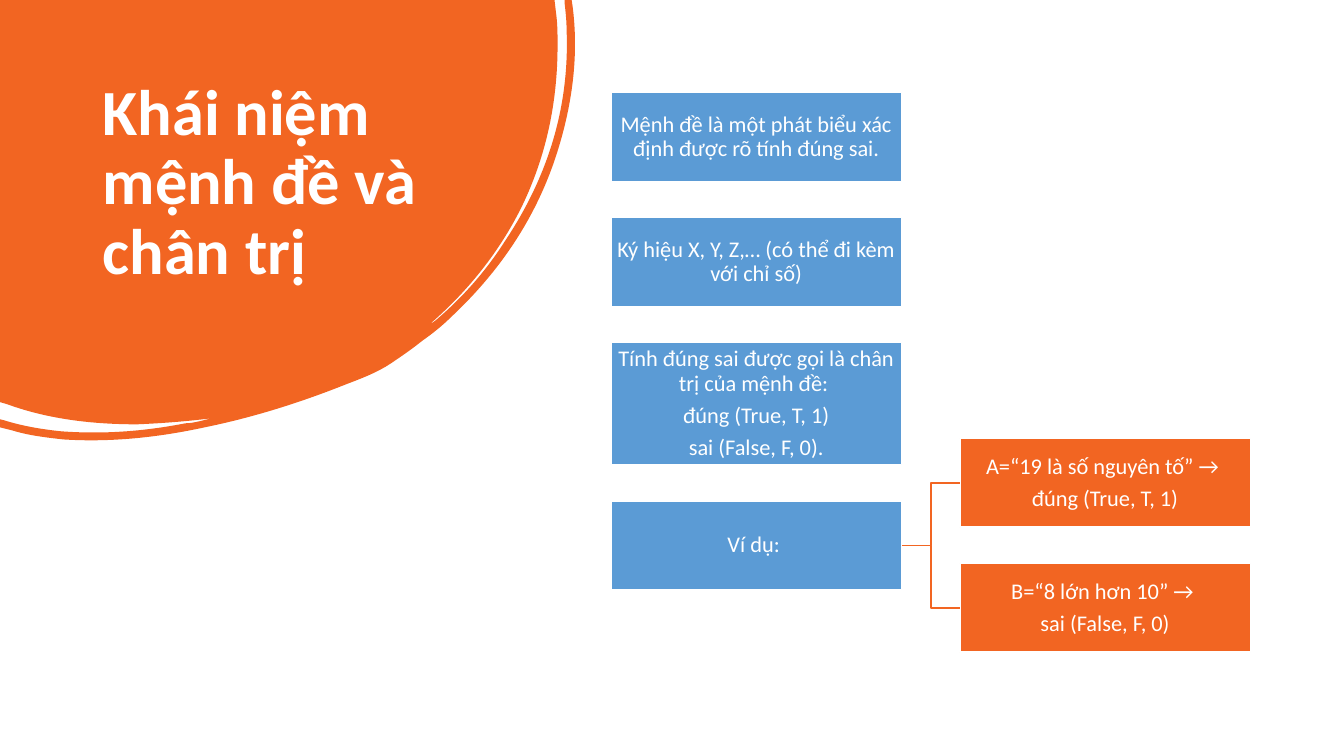
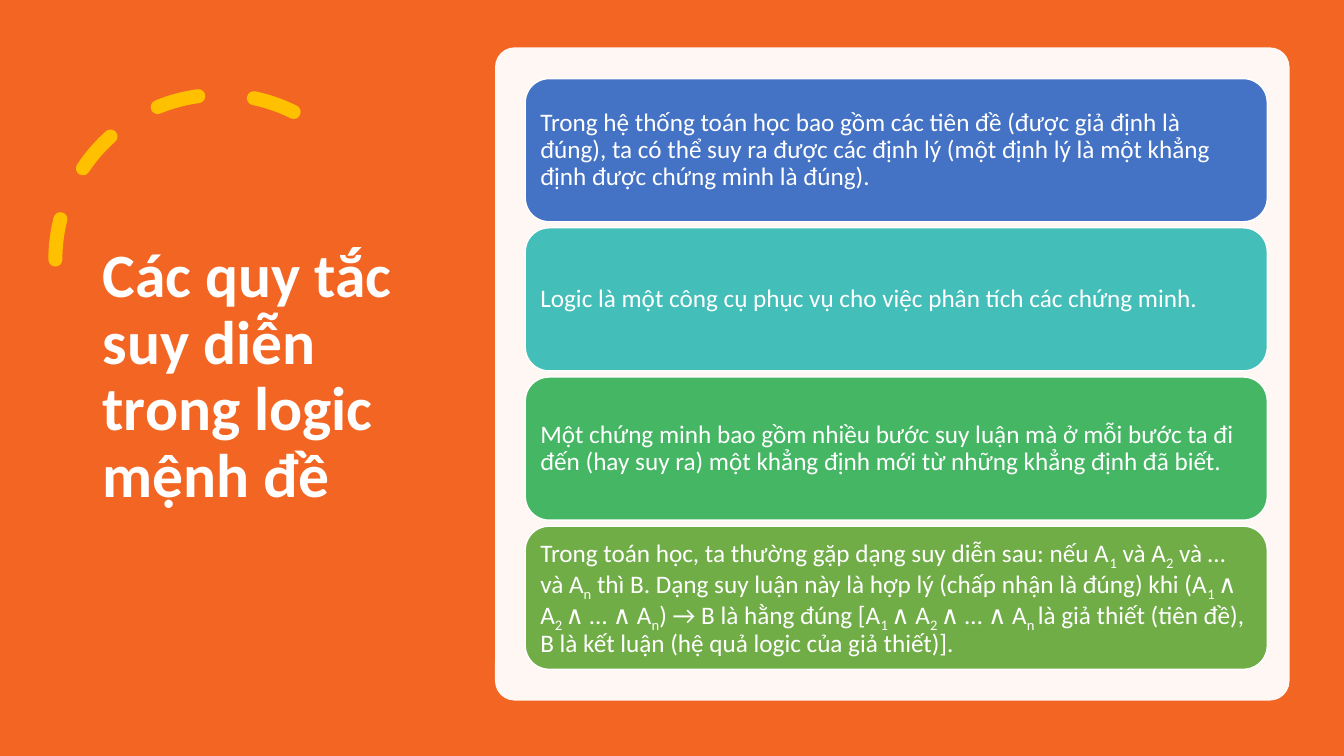
"""Build two slides on propositions, truth values and rules of inference."""
import pptx
import pptx.dml.color
import pptx.enum.dml
import pptx.enum.shapes
import pptx.enum.text
import pptx.oxml.ns
import pptx.util
from lxml import etree

PX = 9144
SIZE = (1333, 750)
KIND = pptx.enum.shapes.MSO_SHAPE
ALIGN = pptx.enum.text.PP_ALIGN
ANCHOR = pptx.enum.text.MSO_ANCHOR
QN = pptx.oxml.ns.qn


class Theme:
    font = "Calibri"
    white = "FFFFFF"
    orange = "F26522"
    blue = "5B9BD5"
    gold = "FFC000"
    cards = ["4472C4", "43BEB9", "45B664", "70AD47"]
    heads = [46, 44]
    box = 16
    card = 18
    thin = 1
    thick = 10


TITLES = ["Khái niệm mệnh đề và chân trị", "Các quy tắc suy diễn trong logic mệnh đề"]

FACTS = [
    (88, ["Mệnh đề là một phát biểu xác định được rõ tính đúng sai."]),
    (88, ["Ký hiệu X, Y, Z,… (có thể đi kèm với chỉ số)"]),
    (121, ["Tính đúng sai được gọi là chân trị của mệnh đề: ",
           "đúng (True, T, 1)", "sai (False, F, 0)."]),
    (88, ["Ví dụ: "]),
]

CASES = [
    (88, ["A=“19 là số nguyên tố” → ", "đúng (True, T, 1)"]),
    (88, ["B=“8 lớn hơn 10” → ", "sai (False, F, 0)"]),
]

RULES = [
    "Trong hệ thống toán học bao gồm các tiên đề (được giả định là đúng), ta có thể "
    "suy ra được các định lý (một định lý là một khẳng định được chứng minh là đúng).",
    "Logic là một công cụ phục vụ cho việc phân tích các chứng minh.",
    "Một chứng minh bao gồm nhiều bước suy luận mà ở mỗi bước ta đi đến (hay suy ra) "
    "một khẳng định mới từ những khẳng định đã biết.",
    "Trong toán học, ta thường gặp dạng suy diễn sau: nếu A~1~ và A~2~ và … và A~n~ "
    "thì B. Dạng suy luận này là hợp lý (chấp nhận là đúng) khi (A~1 ~∧ A~2 ~∧ … ∧ A~n~) "
    "→ B là hằng đúng [A~1 ~∧ A~2 ~∧ … ∧ A~n ~là giả thiết (tiên đề), "
    "B là kết luận (hệ quả logic của giả thiết)].",
]

BLOB = [
    (0, 0), (550, 0), (552, 17),
    (553, 26, 553, 36, 553, 45), (553, 101, 542, 154, 518, 204),
    (496, 249, 465, 288, 427, 321), (429, 321, 430, 319, 432, 318),
    (459, 295, 482, 269, 501, 239), (543, 176, 565, 107, 562, 30),
    (562, 21, 561, 12, 560, 3), (560, 0), (567, 0), (568, 7),
    (574, 54, 568, 102, 553, 150), (533, 214, 497, 268, 448, 314),
    (439, 323, 429, 331, 419, 338), (409, 346, 399, 353, 387, 361),
    (375, 369, 360, 375, 344, 381), (299, 399, 252, 414, 203, 424),
    (157, 434, 110, 439, 63, 436), (45, 434, 28, 432, 12, 427),
    (0, 424), (0, 416), (4, 417),
    (23, 423, 42, 426, 61, 428), (103, 431, 143, 428, 184, 420),
    (189, 420, 193, 419, 198, 418), (202, 417, 206, 416, 210, 415),
    (186, 418, 161, 420, 136, 421), (92, 421, 48, 416, 7, 401),
    (0, 399),
]


def rgb(code):
    return pptx.dml.color.RGBColor.from_string(code)


def emu(*nums):
    return [round(num * PX) for num in nums]


def paint(shape, fill=None, line=None, width=Theme.thin):
    shape.shadow.inherit = False
    if fill:
        shape.fill.solid()
        shape.fill.fore_color.rgb = rgb(fill)
    else:
        shape.fill.background()
    if line:
        shape.line.color.rgb = rgb(line)
        shape.line.width = pptx.util.Pt(width)
    else:
        shape.line.fill.background()
    return shape


def write(shape, lines, size, bold=False, align=ALIGN.LEFT, anchor=ANCHOR.MIDDLE,
          pad=(10, 5), after=0):
    """Fill a shape with paragraphs; text between tildes is subscript."""
    frame = shape.text_frame
    frame.word_wrap = True
    frame.vertical_anchor = anchor
    frame.margin_left = frame.margin_right = pad[0] * PX
    frame.margin_top = frame.margin_bottom = pad[1] * PX
    for row, text in enumerate(lines):
        para = frame.add_paragraph() if row else frame.paragraphs[0]
        para.alignment = align
        para.line_spacing = 0.9
        para.space_after = pptx.util.Pt(after * size)
        for part, words in enumerate(text.split("~")):
            run = para.add_run()
            run.text = words
            run.font.name = Theme.font
            run.font.size = pptx.util.Pt(size)
            run.font.bold = bold
            run.font.color.rgb = rgb(Theme.white)
            if part % 2:
                run._r.get_or_add_rPr().set("baseline", "-25000")


def title(slide, num, area, anchor):
    box = slide.shapes.add_textbox(*emu(*area))
    write(box, [TITLES[num]], Theme.heads[num], bold=True, anchor=anchor)


def outline(slide, steps):
    """Draw a closed outline from the page corner, bending six-number steps."""
    ends = [tuple(emu(*step[-2:])) for step in steps]
    form = slide.shapes.build_freeform(*ends[0], scale=1.0)
    form.add_line_segments(ends[1:], close=True)
    shape = form.convert_to_shape()
    lines = list(shape._element.iter(QN("a:lnTo")))
    for line, step in zip(lines, steps[1:]):
        if len(step) == 6:
            curve = etree.Element(QN("a:cubicBezTo"))
            for spot in range(0, 6, 2):
                x, y = emu(*step[spot:spot + 2])
                etree.SubElement(curve, QN("a:pt"), x=str(x), y=str(y))
            line.getparent().replace(line, curve)
    return shape


def stack(slide, items, left, top, fill, wide=288, gap=36):
    """Place boxes in a column and return the middle of each."""
    mids = []
    for high, lines in items:
        box = slide.shapes.add_shape(KIND.RECTANGLE, *emu(left, top, wide, high))
        paint(box, fill, Theme.white)
        write(box, lines, Theme.box, align=ALIGN.CENTER, pad=(1, 1), after=0.35)
        mids.append(top + high / 2)
        top += high + gap
    return mids


def link(slide, start, end):
    line = slide.shapes.add_connector(pptx.enum.shapes.MSO_CONNECTOR.ELBOW,
                                      *emu(*start, *end))
    line.line.color.rgb = rgb(Theme.orange)
    line.line.width = pptx.util.Pt(Theme.thin)
    etree.SubElement(line._element.spPr, QN("a:effectLst"))


def concept(slide):
    paint(outline(slide, BLOB), Theme.orange)
    title(slide, 0, (92, 74, 352, 222), ANCHOR.TOP)
    root = stack(slide, FACTS, 606, 92, Theme.blue)[-1]
    for mid in stack(slide, CASES, 952, root - 106, Theme.orange):
        link(slide, (895, root), (952, mid))


def inference(slide):
    back = slide.shapes.add_shape(KIND.RECTANGLE, *emu(0, 0, *SIZE))
    paint(back, Theme.orange)
    arc = slide.shapes.add_shape(KIND.ARC, *emu(55, 94, 327, 327))
    arc.adjustments[0], arc.adjustments[1] = 146.13, 0
    arc._element.spPr.xfrm.set("flipH", "1")
    paint(arc, line=Theme.gold, width=Theme.thick)
    arc.line.dash_style = pptx.enum.dml.MSO_LINE.DASH
    arc.line._get_or_add_ln().set("cap", "rnd")
    title(slide, 1, (92, 70, 323, 609), ANCHOR.MIDDLE)

    panel = slide.shapes.add_shape(KIND.ROUNDED_RECTANGLE, *emu(491, 47, 788, 648))
    panel.adjustments[0] = 0.03
    paint(panel, Theme.white)
    tint = panel._element.spPr.find(".//" + QN("a:srgbClr"))
    etree.SubElement(tint, QN("a:alpha"), val="95000")

    for row, (text, fill) in enumerate(zip(RULES, Theme.cards)):
        card = slide.shapes.add_shape(KIND.ROUNDED_RECTANGLE,
                                      *emu(521, 78 + 148 * row, 736, 142))
        paint(card, fill, Theme.white)
        write(card, [text], Theme.card, pad=(8, 7), after=0.35)


def main():
    deck = pptx.Presentation()
    deck.slide_width, deck.slide_height = emu(*SIZE)
    for draw in (concept, inference):
        draw(deck.slides.add_slide(deck.slide_layouts[6]))
    deck.save("out.pptx")


if __name__ == "__main__":
    main()
